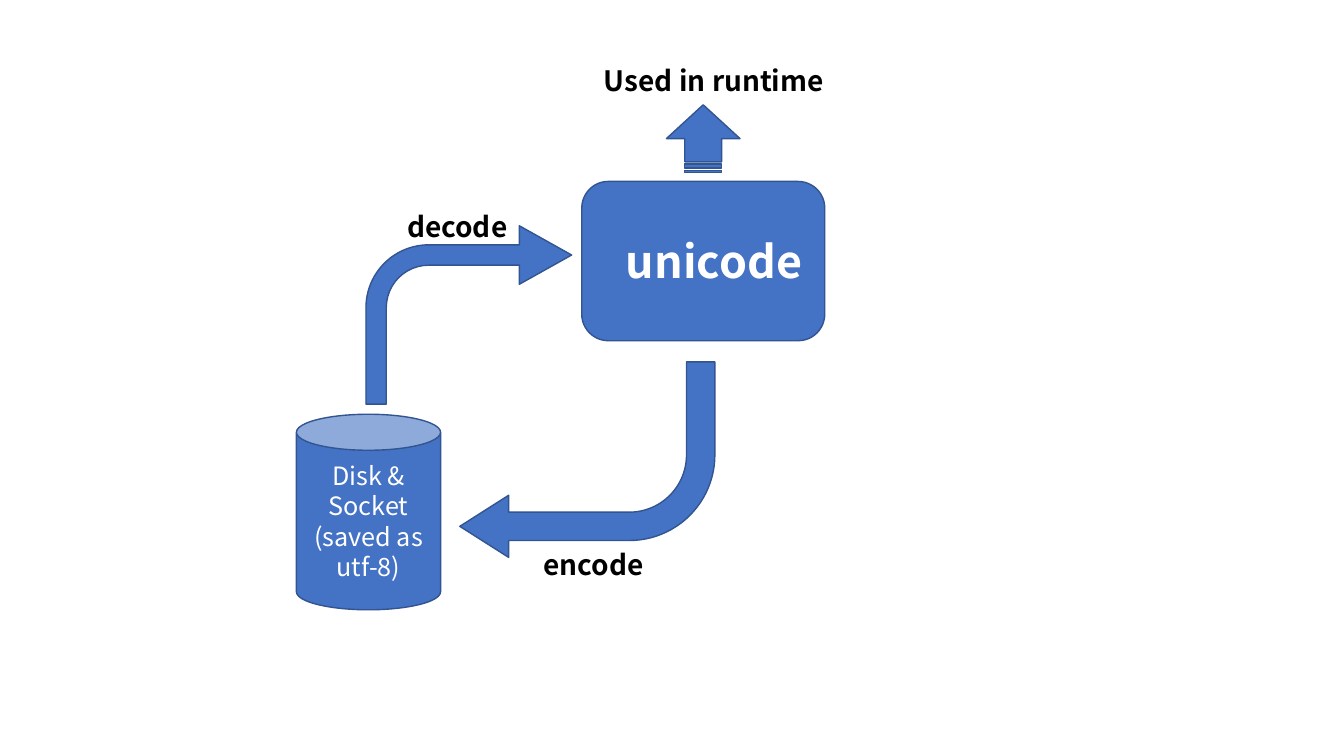
from dataclasses import dataclass

from pptx import Presentation
from pptx.dml.color import RGBColor
from pptx.enum.shapes import MSO_SHAPE
from pptx.enum.text import MSO_ANCHOR, MSO_AUTO_SIZE, PP_ALIGN
from pptx.util import Inches, Pt

CAN = MSO_SHAPE.CAN
ROUNDED = MSO_SHAPE.ROUNDED_RECTANGLE
BENT_ARROW = MSO_SHAPE.BENT_ARROW
STRIPED_ARROW = MSO_SHAPE.STRIPED_RIGHT_ARROW
CENTER, LEFT = PP_ALIGN.CENTER, PP_ALIGN.LEFT
MIDDLE = MSO_ANCHOR.MIDDLE
FIT_SHAPE = MSO_AUTO_SIZE.SHAPE_TO_FIT_TEXT
BLANK_LAYOUT = 6


@dataclass(frozen=True)
class Theme:
    font: str = "Noto Sans CJK SC"
    fill: RGBColor = RGBColor(0x44, 0x72, 0xC4)
    outline: RGBColor = RGBColor(0x32, 0x54, 0x91)
    light: RGBColor = RGBColor(0xFF, 0xFF, 0xFF)
    dark: RGBColor = RGBColor(0, 0, 0)
    body: int = 18
    label: int = 20
    heading: int = 32
    line: int = 1


THEME = Theme()


def add_block(page, kind, box, rotation=0, adjustments=()):
    block = page.shapes.add_shape(kind, *map(Inches, box))
    block.shadow.inherit = False
    block.fill.solid()
    block.fill.fore_color.rgb = THEME.fill
    block.line.color.rgb = THEME.outline
    block.line.width = Pt(THEME.line)
    block.rotation = rotation
    for index, value in enumerate(adjustments):
        block.adjustments[index] = value
    return block


def write(frame, lines, size, color, align=LEFT, bold=False):
    frame.word_wrap = True
    for index, line in enumerate(lines):
        para = frame.add_paragraph() if index else frame.paragraphs[0]
        para.alignment = align
        span = para.add_run()
        span.text = line
        span.font.name = THEME.font
        span.font.size = Pt(size)
        span.font.bold = bold
        span.font.color.rgb = color


def add_label(page, box, text, size=THEME.label, color=THEME.dark):
    label = page.shapes.add_textbox(*map(Inches, box))
    write(label.text_frame, [text], size, color, bold=True)
    label.text_frame.auto_size = FIT_SHAPE


def add_storage(page, box):
    can = add_block(page, CAN, box)
    can.text_frame.vertical_anchor = MIDDLE
    write(can.text_frame, ["Disk & Socket", "(saved as utf-8)"],
          THEME.body, THEME.light, CENTER)


def add_unicode(page, box):
    left, top, _, _ = box
    add_block(page, ROUNDED, box)
    add_label(page, (left + 0.34, top + 0.47, 1.95, 0.64), "unicode",
              THEME.heading, THEME.light)


def add_conversion(page, box, text, offset, rotation, adjustments):
    """Bent arrow with its label offset from the arrow's corner."""
    left, top, _, _ = box
    add_block(page, BENT_ARROW, box, rotation, adjustments)
    add_label(page, (left + offset[0], top + offset[1], 1.43, 0.44), text)


def add_runtime(page, box):
    left, top, _, _ = box
    add_block(page, STRIPED_ARROW, box, rotation=270)
    add_label(page, (left - 0.75, top - 0.43, 2.41, 0.44), "Used in runtime")


def main():
    deck = Presentation()
    deck.slide_width, deck.slide_height = Inches(13.33), Inches(7.5)
    page = deck.slides.add_slide(deck.slide_layouts[BLANK_LAYOUT])

    # Where text is stored and where it is used
    add_storage(page, (2.94, 4.11, 1.43, 1.94))
    add_unicode(page, (5.77, 1.8, 2.41, 1.58))

    # Conversions between the two
    add_conversion(page, (3.63, 2.24, 2.04, 1.77), "decode", (0.31, -0.21),
                   0, (0.114, 0.164, 0.293, 0.352))
    add_conversion(page, (4.56, 3.59, 2.53, 1.94), "encode", (0.73, 1.79),
                   180, (0.145, 0.159, 0.25, 0.438))

    # Runtime use
    add_runtime(page, (6.64, 1.01, 0.67, 0.73))

    deck.save("out.pptx")


if __name__ == "__main__":
    main()
